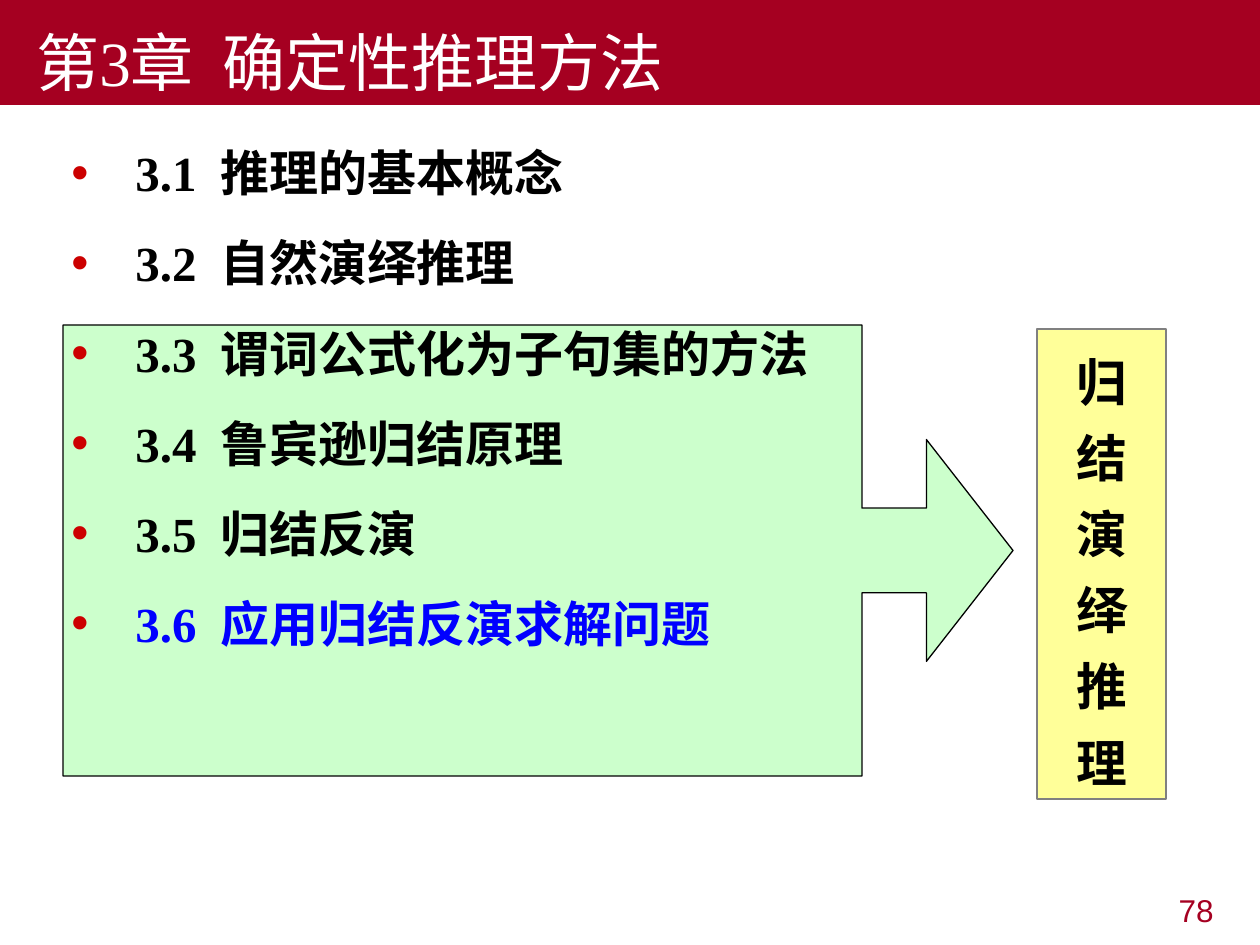
from lxml import etree
from pptx import Presentation
from pptx.dml.color import RGBColor
from pptx.enum.shapes import MSO_SHAPE
from pptx.enum.text import MSO_ANCHOR, PP_ALIGN
from pptx.oxml.ns import qn
from pptx.util import Pt

RECTANGLE = MSO_SHAPE.RECTANGLE
CALLOUT = MSO_SHAPE.RIGHT_ARROW_CALLOUT
TOP, MIDDLE, BOTTOM = MSO_ANCHOR.TOP, MSO_ANCHOR.MIDDLE, MSO_ANCHOR.BOTTOM
LEFT, CENTER, RIGHT = PP_ALIGN.LEFT, PP_ALIGN.CENTER, PP_ALIGN.RIGHT

CRIMSON = RGBColor(0xA5, 0x00, 0x21)
BULLET_RED = RGBColor(0xCC, 0x00, 0x00)
MINT = RGBColor(0xCC, 0xFF, 0xCC)
CREAM = RGBColor(0xFF, 0xFF, 0x99)
GRAY = RGBColor(0x80, 0x80, 0x80)
BLACK = RGBColor(0x00, 0x00, 0x00)
WHITE = RGBColor(0xFF, 0xFF, 0xFF)
BLUE = RGBColor(0x00, 0x00, 0xFF)

SANS, SERIF = "Arial", "Times New Roman"
EMU_PER_PX = 914400 / 126


def px(length):
    return round(length * EMU_PER_PX)


class SlideBuilder:
    def __init__(self, slide):
        self.slide = slide

    def shape(self, kind, box, fill, line=None, adjustments=()):
        shape = self.slide.shapes.add_shape(kind, *map(px, box))
        shape.shadow.inherit = False
        shape.fill.solid()
        shape.fill.fore_color.rgb = fill
        if line is None:
            shape.line.fill.background()
        else:
            shape.line.color.rgb = line
            shape.line.width = Pt(0.75)
        for index, value in enumerate(adjustments):
            shape.adjustments[index] = value
        return shape

    def text_box(self, box):
        return self.slide.shapes.add_textbox(*map(px, box))

    def add_text(self, holder, lines, size, font, bold=False, align=LEFT,
                 anchor=TOP, gap=0, spacing=None, indent=(0, 0),
                 bullet=None, top_inset=6):
        frame = holder.text_frame
        frame.word_wrap = True
        frame.vertical_anchor = anchor
        frame.margin_top = px(top_inset)
        for index, (text, color) in enumerate(lines):
            paragraph = frame.paragraphs[0] if index == 0 else frame.add_paragraph()
            paragraph.alignment = align
            if spacing:
                paragraph.line_spacing = spacing
            paragraph.space_before = Pt(gap if index else 0)
            self.indent(paragraph, indent, bullet)
            run = paragraph.add_run()
            run.text = text
            run.font.name = font
            run.font.size = Pt(size)
            run.font.bold = bold
            run.font.color.rgb = color

    def indent(self, paragraph, indent, bullet):
        properties = paragraph._p.get_or_add_pPr()
        margin, first_line = indent
        properties.set("marL", str(px(margin)))
        properties.set("indent", str(px(first_line)))
        if bullet:
            color = etree.SubElement(properties, qn("a:buClr"))
            etree.SubElement(color, qn("a:srgbClr"), val=str(bullet))
            etree.SubElement(properties, qn("a:buFont"), typeface=SANS)
            etree.SubElement(properties, qn("a:buChar"), char="•")


def main():
    presentation = Presentation()
    presentation.slide_width, presentation.slide_height = px(1260), px(945)
    slide = presentation.slides.add_slide(presentation.slide_layouts[6])
    builder = SlideBuilder(slide)

    page_number = builder.text_box((932, 885, 294, 66))
    builder.add_text(page_number, [("78", CRIMSON)], 18, SANS, align=RIGHT)

    builder.shape(CALLOUT, (63, 325, 950, 451), MINT, BLACK,
                  (0.188, 0.246, 0.192, 0.841))

    topic = builder.shape(RECTANGLE, (1037, 329, 129, 470), CREAM, GRAY)
    builder.add_text(topic, [(character, BLACK) for character in "归结演绎推理"],
                     29, SANS, bold=True, align=CENTER, anchor=MIDDLE,
                     gap=8.7, top_inset=21)

    chapter = builder.shape(RECTANGLE, (0, 0, 1260, 105), CRIMSON)
    builder.add_text(chapter, [("第3章  确定性推理方法", WHITE)], 36, SERIF,
                     anchor=BOTTOM, indent=(0, 24))

    sections = [
        ("3.1  推理的基本概念", BLACK),
        ("3.2  自然演绎推理", BLACK),
        ("3.3  谓词公式化为子句集的方法", BLACK),
        ("3.4  鲁宾逊归结原理", BLACK),
        ("3.5  归结反演", BLACK),
        ("3.6  应用归结反演求解问题", BLUE),
    ]
    outline = builder.text_box((59, 125, 1191, 745))
    builder.add_text(outline, sections, 28, SERIF, bold=True, gap=11.2,
                     spacing=1.2, indent=(64, -64), bullet=BULLET_RED)

    presentation.save("out.pptx")


if __name__ == "__main__":
    main()
